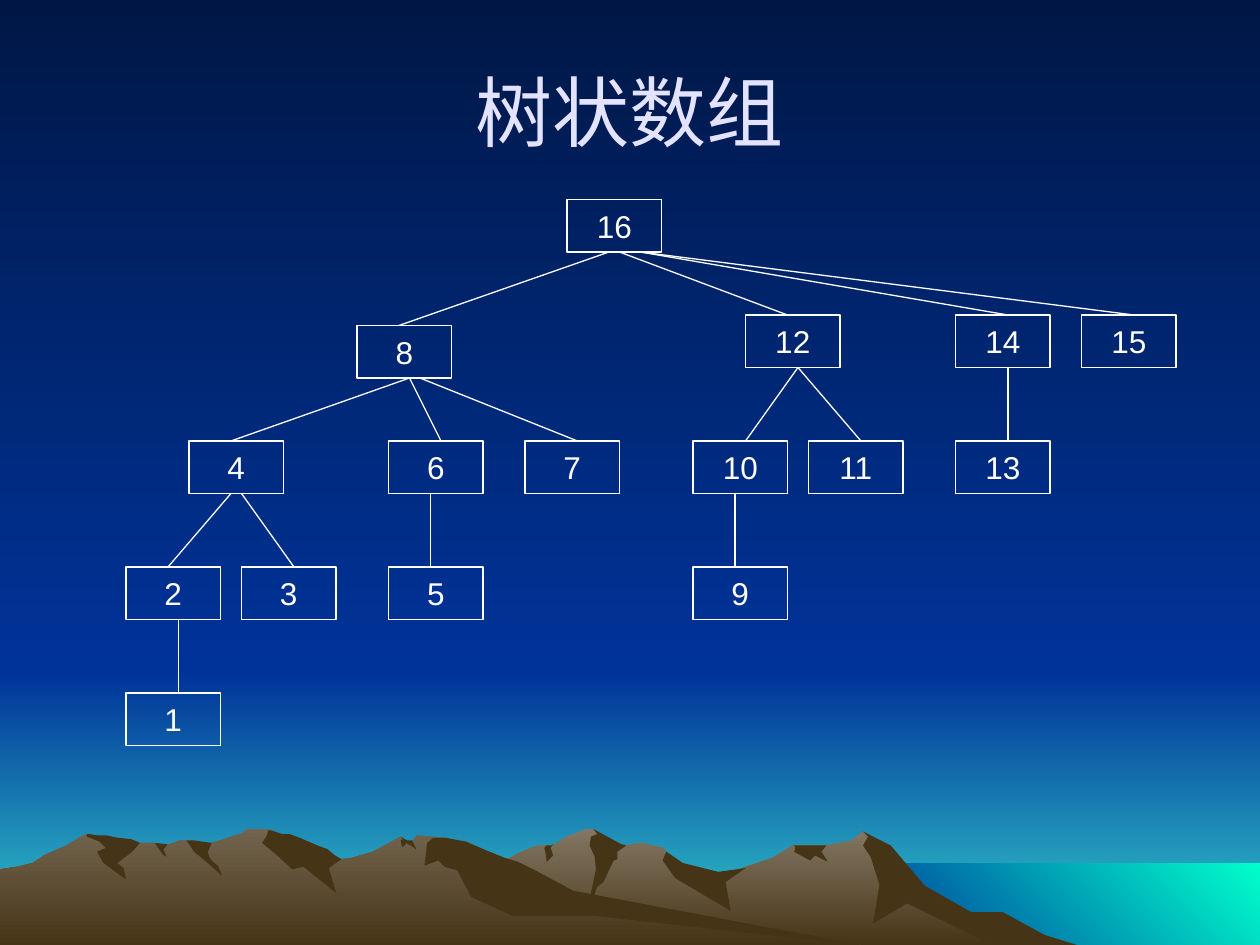
from dataclasses import dataclass

from lxml import etree
from pptx import Presentation
from pptx.dml.color import RGBColor
from pptx.enum.shapes import MSO_CONNECTOR, MSO_SHAPE
from pptx.enum.text import MSO_ANCHOR, PP_ALIGN
from pptx.oxml.ns import qn
from pptx.util import Cm, Pt

RECTANGLE = MSO_SHAPE.RECTANGLE
STRAIGHT = MSO_CONNECTOR.STRAIGHT
MIDDLE = MSO_ANCHOR.MIDDLE
CENTER = PP_ALIGN.CENTER
TITLE_ONLY = 5


@dataclass(frozen=True)
class Theme:
    night: str = "001746"
    blue: str = "003399"
    horizon: str = "33CCCC"
    sea: str = "00FFCC"
    far_rock: str = "837763"
    near_rock: str = "72644E"
    shade: str = "463416"
    title: str = "E3E3FF"
    ink: str = "FFFFFF"
    title_font: str = "Times New Roman"
    node_font: str = "Arial"
    title_size: int = 44
    node_size: int = 18
    line_width: float = 0.75


THEME = Theme()

# Scenery points are hundredths of an inch; the tree uses twelfths.
SCENERY_UNIT = Cm(2.54) / 100
TREE_UNIT = 2.54 / 12
NODE_WIDTH, NODE_HEIGHT = 9, 5

NODES = {
    16: (54, 19),
    8: (34, 31), 12: (71, 30), 14: (91, 30), 15: (103, 30),
    4: (18, 42), 6: (37, 42), 7: (50, 42), 10: (66, 42), 11: (77, 42), 13: (91, 42),
    2: (12, 54), 3: (23, 54), 5: (37, 54), 9: (66, 54),
    1: (12, 66),
}

# Parent, child, x at the parent's foot, x at the child's top.
BRANCHES = [
    (16, 8, 58, 38), (16, 12, 59, 75), (16, 14, 61, 96), (16, 15, 61, 108),
    (8, 4, 39, 22), (8, 6, 39, 42), (8, 7, 40, 55),
    (4, 2, 22, 16), (4, 3, 23, 28), (6, 5, 41, 41), (2, 1, 17, 17),
    (12, 10, 76, 71), (12, 11, 76, 82), (10, 9, 70, 70), (14, 13, 96, 96),
]

FAR_RANGE = [
    (802, 740), (778, 727), (764, 723), (723, 698), (702, 671), (685, 660), (676, 667),
    (656, 671), (629, 671), (613, 681), (566, 697), (536, 690), (529, 676), (526, 673),
    (509, 669), (497, 671), (486, 673), (474, 661), (471, 658), (465, 658), (450, 664),
    (444, 668), (438, 671), (430, 671), (424, 672), (412, 677), (405, 681), (394, 685),
    (355, 698), (327, 709), (277, 739), (258, 751), (821, 751),
]
NEAR_RANGE = [
    (690, 751), (667, 748), (432, 712), (354, 665), (331, 663), (327, 668), (323, 668),
    (318, 664), (296, 676), (279, 681), (271, 682), (260, 676), (236, 681), (223, 663),
    (219, 660), (212, 658), (196, 658), (191, 662), (186, 663), (178, 666), (168, 669),
    (160, 671), (148, 667), (143, 667), (132, 671), (128, 671), (123, 669), (111, 669),
    (94, 671), (68, 662), (56, 669), (53, 671), (46, 674), (35, 679), (26, 685),
    (14, 688), (0, 690), (0, 751),
]
FAR_SHADES = [
    [(796, 724), (771, 724), (734, 703), (707, 671), (685, 660), (689, 664), (685, 671),
     (691, 680), (698, 702), (693, 733), (720, 717), (792, 752), (858, 751), (829, 742)],
    [(471, 658), (474, 662), (469, 664), (468, 671), (472, 680), (473, 690), (465, 727),
     (474, 704), (479, 700), (487, 683), (490, 682), (490, 676), (497, 671), (493, 670)],
    [(529, 676), (528, 678), (526, 683), (536, 697), (580, 723), (576, 700), (592, 689),
     (570, 692), (542, 685)],
    [(650, 671), (630, 671), (631, 672), (631, 675), (630, 676), (643, 683), (647, 679),
     (657, 684), (652, 676), (656, 671)],
    [(433, 677), (432, 673), (434, 671), (438, 671), (439, 670), (437, 673), (439, 679),
     (434, 684)],
]
NEAR_SHADES = [
    [(212, 663), (208, 669), (219, 678), (232, 690), (241, 688), (267, 709), (261, 689),
     (271, 682), (266, 679), (260, 674), (252, 671), (238, 665), (230, 662), (224, 662),
     (215, 659), (213, 659)],
    [(370, 668), (354, 665), (344, 665), (339, 669), (337, 687), (348, 683), (353, 688),
     (363, 691), (374, 712), (407, 727), (472, 727), (690, 751), (683, 750), (455, 707),
     (427, 692), (411, 684), (401, 681), (386, 675)],
    [(318, 667), (320, 666), (318, 664), (323, 667), (327, 667), (330, 673), (330, 674),
     (326, 671), (322, 669), (322, 670), (320, 672), (319, 672)],
    [(154, 667), (161, 668), (168, 669), (165, 676), (166, 680), (169, 684), (173, 687),
     (176, 694), (176, 695), (165, 685), (154, 676), (148, 667)],
    [(133, 670), (130, 674), (130, 675), (132, 679), (132, 680), (129, 678), (123, 669)],
    [(109, 668), (111, 669), (105, 676), (93, 685), (98, 689), (100, 698), (82, 685),
     (77, 676), (84, 673), (79, 668), (69, 664), (69, 662), (71, 662), (77, 663),
     (84, 663), (94, 665), (104, 666)],
]


def color(code):
    return RGBColor.from_string(code)


def paint(fill, codes, clockwise=90):
    if len(codes) == 1:
        fill.solid()
        fill.fore_color.rgb = color(codes[0])
        return
    fill.gradient()
    fill.gradient_angle = 360 - clockwise
    for stop, code in zip(fill.gradient_stops, codes):
        stop.color.rgb = color(code)


def add_outline(page, points, *codes, clockwise=90):
    builder = page.shapes.build_freeform(*points[0], scale=SCENERY_UNIT)
    builder.add_line_segments(points[1:], close=True)
    outline = builder.convert_to_shape()
    outline.shadow.inherit = False
    outline.line.fill.background()
    paint(outline.fill, codes, clockwise)


def add_band(page, left, top, bottom, *codes, clockwise=90):
    corners = [(left, top), (1000, top), (1000, bottom), (left, bottom)]
    add_outline(page, corners, *codes, clockwise=clockwise)


def add_scenery(page):
    paint(page.background.fill, (THEME.night, THEME.blue))
    add_band(page, 0, 533, 750, THEME.blue, THEME.horizon)
    add_band(page, 0, 0, 533, THEME.night, THEME.blue)
    add_band(page, 683, 685, 752, THEME.sea, THEME.blue, clockwise=135)
    ranges = [(FAR_RANGE, THEME.far_rock, FAR_SHADES),
              (NEAR_RANGE, THEME.near_rock, NEAR_SHADES)]
    for ridge, rock, shades in ranges:
        add_outline(page, ridge, rock, THEME.shade)
        for points in shades:
            add_outline(page, points, THEME.shade)


def write(box, text, font, size, code):
    frame = box.text_frame
    frame.vertical_anchor = MIDDLE
    para = frame.paragraphs[0]
    para.alignment = CENTER
    span = para.add_run()
    span.text = text
    span.font.name = font
    span.font.size = Pt(size)
    span.font.color.rgb = color(code)


def set_title(page, text):
    box = page.shapes.title
    box.left, box.top, box.width, box.height = Cm(1.27), Cm(0.64), Cm(22.86), Cm(3.18)
    write(box, text, THEME.title_font, THEME.title_size, THEME.title)
    box.element.getparent().append(box.element)


def set_line(line):
    line.color.rgb = color(THEME.ink)
    line.width = Pt(THEME.line_width)


def tree_lengths(*units):
    return [Cm(unit * TREE_UNIT) for unit in units]


def add_node(page, value, left, top):
    lengths = tree_lengths(left, top, NODE_WIDTH, NODE_HEIGHT)
    box = page.shapes.add_shape(RECTANGLE, *lengths)
    box.shadow.inherit = False
    box.fill.background()
    set_line(box.line)
    box.text_frame.word_wrap = False
    write(box, str(value), THEME.node_font, THEME.node_size, THEME.ink)


def add_branch(page, parent, child, start, end):
    foot = NODES[parent][1] + NODE_HEIGHT
    head = NODES[child][1]
    branch = page.shapes.add_connector(STRAIGHT, *tree_lengths(start, foot, end, head))
    set_line(branch.line)
    etree.SubElement(branch.element.spPr, qn("a:effectLst"))


def main():
    deck = Presentation()
    deck.slide_width, deck.slide_height = Cm(25.4), Cm(19.05)
    page = deck.slides.add_slide(deck.slide_layouts[TITLE_ONLY])
    add_scenery(page)
    set_title(page, "树状数组")
    for value, (left, top) in NODES.items():
        add_node(page, value, left, top)
    for branch in BRANCHES:
        add_branch(page, *branch)
    deck.save("out.pptx")


if __name__ == "__main__":
    main()
